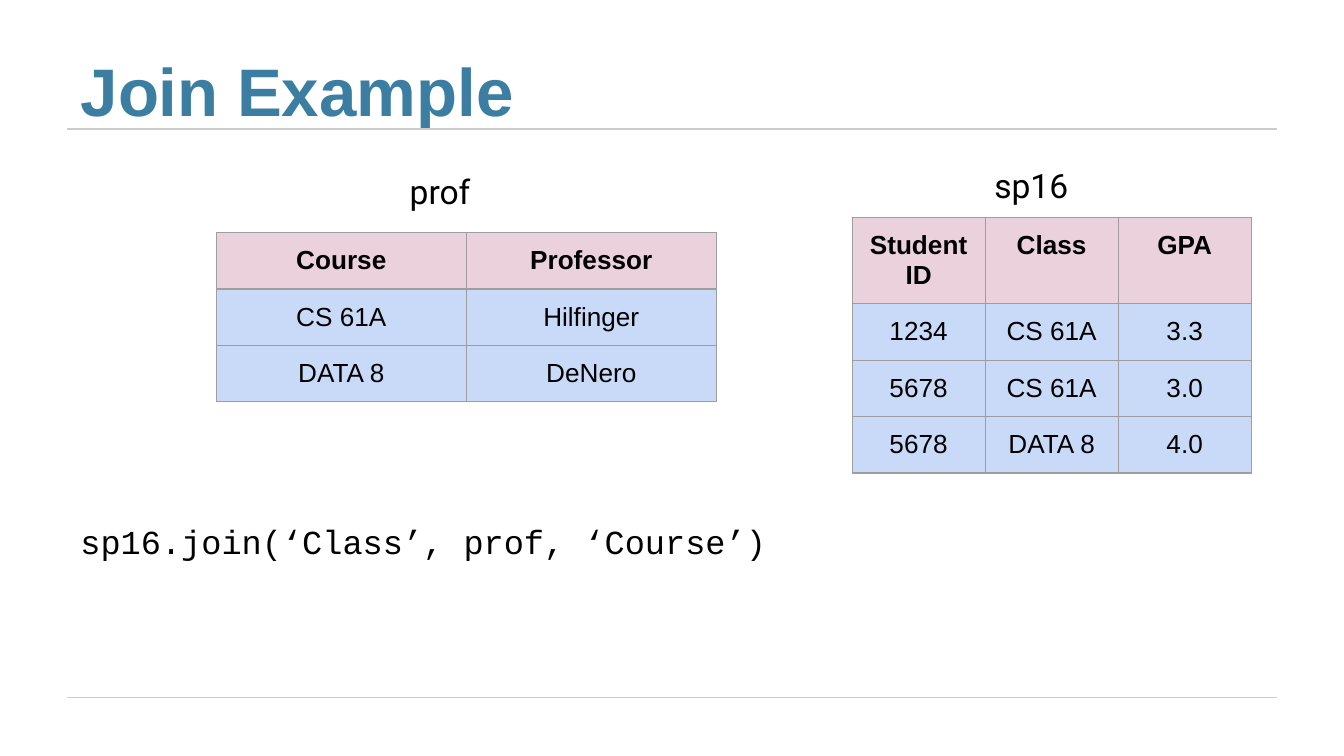
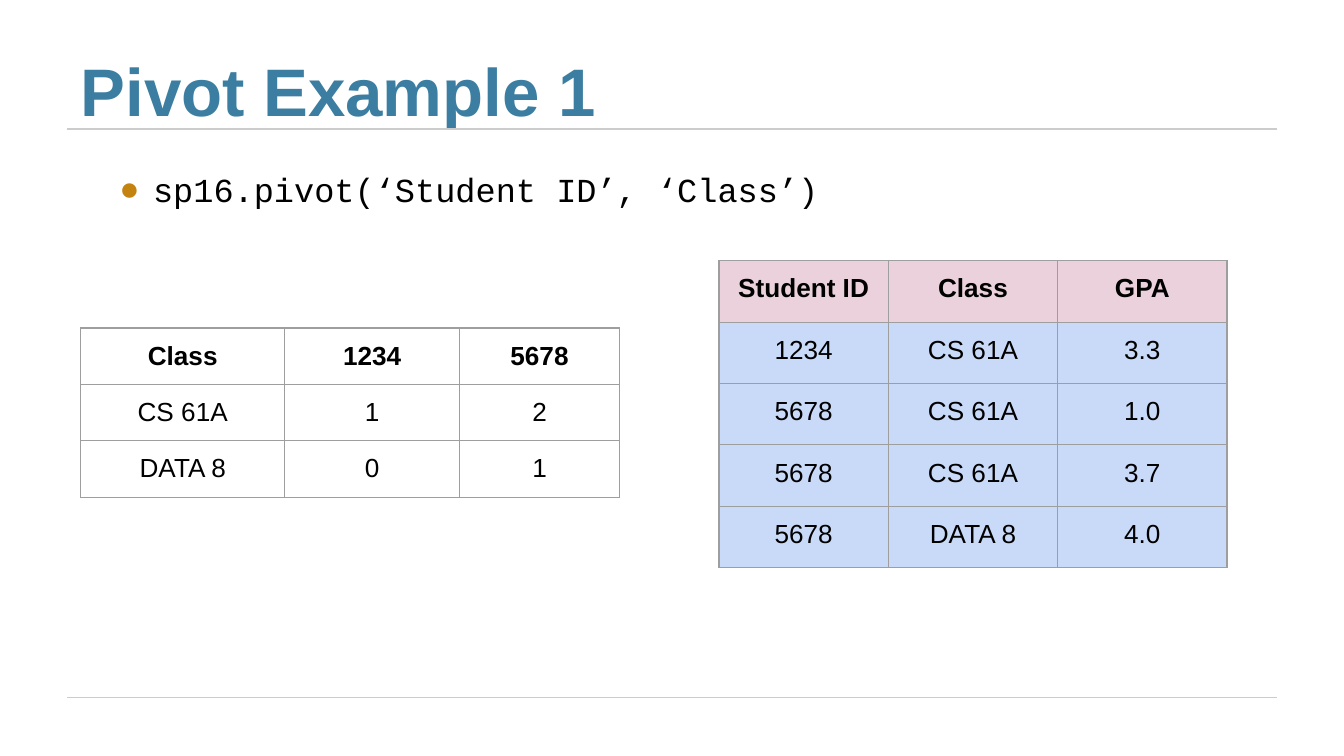
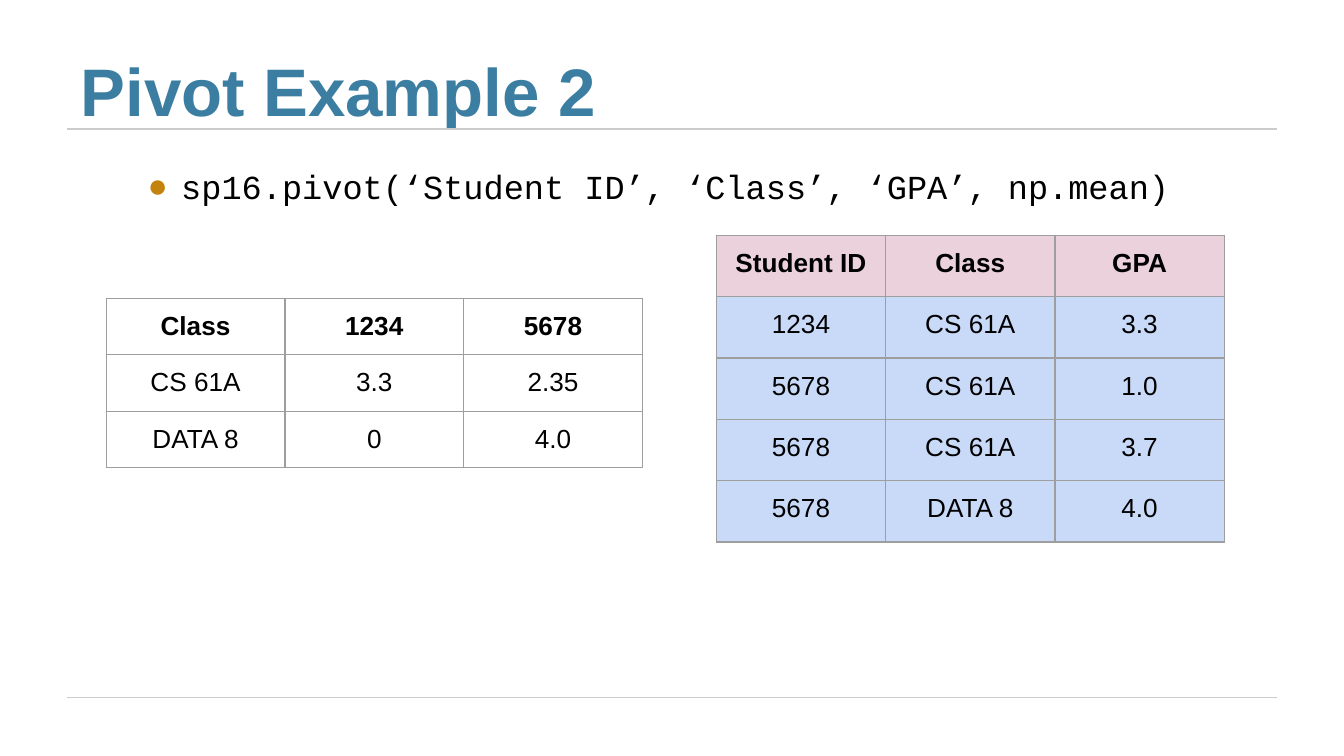
"""Build three slides on joining and pivoting tables."""
from dataclasses import dataclass

from pptx import Presentation
from pptx.dml.color import RGBColor as Rgb
from pptx.enum.shapes import MSO_CONNECTOR as Link
from pptx.enum.text import MSO_ANCHOR as Anchor
from pptx.enum.text import MSO_AUTO_SIZE as Fit
from pptx.enum.text import PP_ALIGN as Align
from pptx.oxml.ns import qn
from pptx.slide import Slide
from pptx.text.text import TextFrame, _Paragraph as Para
from pptx.util import Inches, Pt
from lxml.etree import SubElement as Sub


@dataclass(frozen=True)
class Theme:
    blue: str = "3B7EA1"
    gold: str = "C4820E"
    ink: str = "000000"
    rule: str = "CCCCCC"
    edge: str = "9E9E9E"
    head: str = "EAD1DC"
    body: str = "C9DAF8"
    sans: str = "Arial"
    mono: str = "Courier New"
    label: str = "Roboto"
    title_pt: float = 36
    text_pt: float = 18
    cell_pt: float = 14
    line_pt: float = 0.75
    pad: float = 0.1
    drop: float = 0.14


@dataclass(frozen=True)
class Box:
    left: float
    top: float
    width: float
    height: float


@dataclass(frozen=True)
class Grid:
    left: float
    top: float
    cols: tuple[float, ...]
    rows: tuple[float, ...]
    data: tuple[tuple[str, ...], ...]
    tint: bool = True


@dataclass(frozen=True)
class Label:
    text: str
    box: Box


@dataclass(frozen=True)
class Code:
    text: str
    box: Box
    dot: bool = True


@dataclass(frozen=True)
class Page:
    title: str
    code: Code
    grids: tuple[Grid, ...]
    labels: tuple[Label, ...] = ()


LOOK = Theme()
TITLE = Box(0.5, 0.23, 7.33, 0.74)
RULES = (0.96, 5.19)
ROW = 0.42
HEAD = ("Student ID", "Class", "GPA")
MARKS = (
    HEAD,
    ("1234", "CS 61A", "3.3"),
    ("5678", "CS 61A", "1.0"),
    ("5678", "CS 61A", "3.7"),
    ("5678", "DATA 8", "4.0"),
)


def marks(left: float, top: float) -> Grid:
    return Grid(left, top, (1.26,) * 3, (0.457,) * 5, MARKS)


def pivot(left: float, top: float, cols: tuple[float, ...],
          *data: tuple[str, ...]) -> Grid:
    full = (("Class", "1234", "5678"), *data)
    return Grid(left, top, cols, (ROW,) * 3, full, tint=False)


PAGES = (
    Page(
        "Join Example",
        Code("sp16.join(‘Class’, prof, ‘Course’)",
             Box(0.5, 3.69, 5.95, 0.47), dot=False),
        (
            Grid(6.34, 1.62, (0.99,) * 3, (0.64, ROW, ROW, ROW), (
                HEAD,
                ("1234", "CS 61A", "3.3"),
                ("5678", "CS 61A", "3.0"),
                ("5678", "DATA 8", "4.0"),
            )),
            Grid(1.61, 1.73, (1.86,) * 2, (ROW,) * 3, (
                ("Course", "Professor"),
                ("CS 61A", "Hilfinger"),
                ("DATA 8", "DeNero"),
            )),
        ),
        (
            Label("sp16", Box(7.3, 1.13, 1.04, 0.4)),
            Label("prof", Box(2.95, 1.17, 1.04, 0.4)),
        ),
    ),
    Page(
        "Pivot Example 1",
        Code("sp16.pivot(‘Student ID’, ‘Class’)",
             Box(0.54, 1.07, 8.91, 0.47)),
        (
            marks(5.35, 1.94),
            pivot(0.6, 2.44, (1.52, 1.3, 1.19),
                  ("CS 61A", "1", "2"), ("DATA 8", "0", "1")),
        ),
    ),
    Page(
        "Pivot Example 2",
        Code("sp16.pivot(‘Student ID’, ‘Class’, ‘GPA’, np.mean)",
             Box(0.75, 1.05, 8.91, 0.47)),
        (
            pivot(0.79, 2.22, (1.33,) * 3,
                  ("CS 61A", "3.3", "2.35"), ("DATA 8", "0", "4.0")),
            marks(5.33, 1.75),
        ),
    ),
)


def place(box: Box) -> tuple[int, int, int, int]:
    return (Inches(box.left), Inches(box.top),
            Inches(box.width), Inches(box.height))


def add_run(para: Para, text: str, font: str, size: float,
            color: str = LOOK.ink, bold: bool = False) -> None:
    run = para.add_run()
    run.text = text
    run.font.name = font
    run.font.size = Pt(size)
    run.font.bold = bold
    run.font.color.rgb = Rgb.from_string(color)


def set_frame(frame: TextFrame, top: float = LOOK.pad,
              base: float = LOOK.pad) -> Para:
    frame.word_wrap = True
    frame.auto_size = Fit.NONE
    frame.vertical_anchor = Anchor.TOP
    frame.margin_left = frame.margin_right = Inches(LOOK.pad)
    frame.margin_top = Inches(top)
    frame.margin_bottom = Inches(base)
    para = frame.paragraphs[0]
    para.alignment = Align.LEFT
    return para


def add_title(slide: Slide, text: str) -> None:
    shape = slide.shapes.title
    shape.left, shape.top, shape.width, shape.height = place(TITLE)
    para = set_frame(shape.text_frame, LOOK.drop, 0)
    add_run(para, text, LOOK.sans, LOOK.title_pt, LOOK.blue, True)


def add_rule(slide: Slide, top: float) -> None:
    line = slide.shapes.add_connector(
        Link.STRAIGHT, Inches(0.5), Inches(top), Inches(9.5), Inches(top))
    line.line.color.rgb = Rgb.from_string(LOOK.rule)
    line.line.width = Pt(LOOK.line_pt)
    Sub(line.element.spPr, qn("a:effectLst"))


def add_label(slide: Slide, label: Label) -> None:
    shape = slide.shapes.add_textbox(*place(label.box))
    para = set_frame(shape.text_frame)
    add_run(para, label.text, LOOK.label, LOOK.text_pt)


def add_dot(para: Para) -> None:
    props = para._p.get_or_add_pPr()
    props.set("marL", str(Inches(0.5)))
    props.set("indent", str(Inches(-0.25)))
    tint = Sub(props, qn("a:buClr"))
    Sub(tint, qn("a:srgbClr"), val=LOOK.gold)
    Sub(props, qn("a:buFont"), typeface=LOOK.sans)
    Sub(props, qn("a:buChar"), char="●")


def add_code(slide: Slide, code: Code) -> None:
    shape = slide.shapes.add_textbox(*place(code.box))
    para = set_frame(shape.text_frame, LOOK.drop, 0)
    para.line_spacing = 1.15
    if code.dot:
        add_dot(para)
    add_run(para, code.text, LOOK.mono, LOOK.text_pt)


def add_edges(cell) -> None:
    props = cell._tc.get_or_add_tcPr()
    for side in ("lnL", "lnR", "lnT", "lnB"):
        line = Sub(props, qn(f"a:{side}"), w=str(Pt(LOOK.line_pt)))
        fill = Sub(line, qn("a:solidFill"))
        Sub(fill, qn("a:srgbClr"), val=LOOK.edge)


def add_grid(slide: Slide, grid: Grid) -> None:
    box = Box(grid.left, grid.top, sum(grid.cols), sum(grid.rows))
    table = slide.shapes.add_table(
        len(grid.rows), len(grid.cols), *place(box)).table
    table.first_row = table.horz_banding = False
    for col, width in zip(table.columns, grid.cols):
        col.width = Inches(width)
    for row, height in zip(table.rows, grid.rows):
        row.height = Inches(height)
    for i, line in enumerate(grid.data):
        for j, text in enumerate(line):
            cell = table.cell(i, j)
            cell.margin_left = cell.margin_right = Inches(LOOK.pad)
            cell.margin_top = cell.margin_bottom = Inches(LOOK.pad)
            add_edges(cell)
            if grid.tint:
                cell.fill.solid()
                tone = LOOK.body if i else LOOK.head
                cell.fill.fore_color.rgb = Rgb.from_string(tone)
            else:
                cell.fill.background()
            para = cell.text_frame.paragraphs[0]
            para.alignment = Align.CENTER
            add_run(para, text, LOOK.sans, LOOK.cell_pt, bold=i == 0)


def main() -> None:
    deck = Presentation()
    deck.slide_width = Inches(10)
    deck.slide_height = Inches(5.625)
    for page in PAGES:
        slide = deck.slides.add_slide(deck.slide_layouts[5])
        for top in RULES:
            add_rule(slide, top)
        add_title(slide, page.title)
        for grid in page.grids:
            add_grid(slide, grid)
        for label in page.labels:
            add_label(slide, label)
        add_code(slide, page.code)
    deck.save("out.pptx")


if __name__ == "__main__":
    main()
